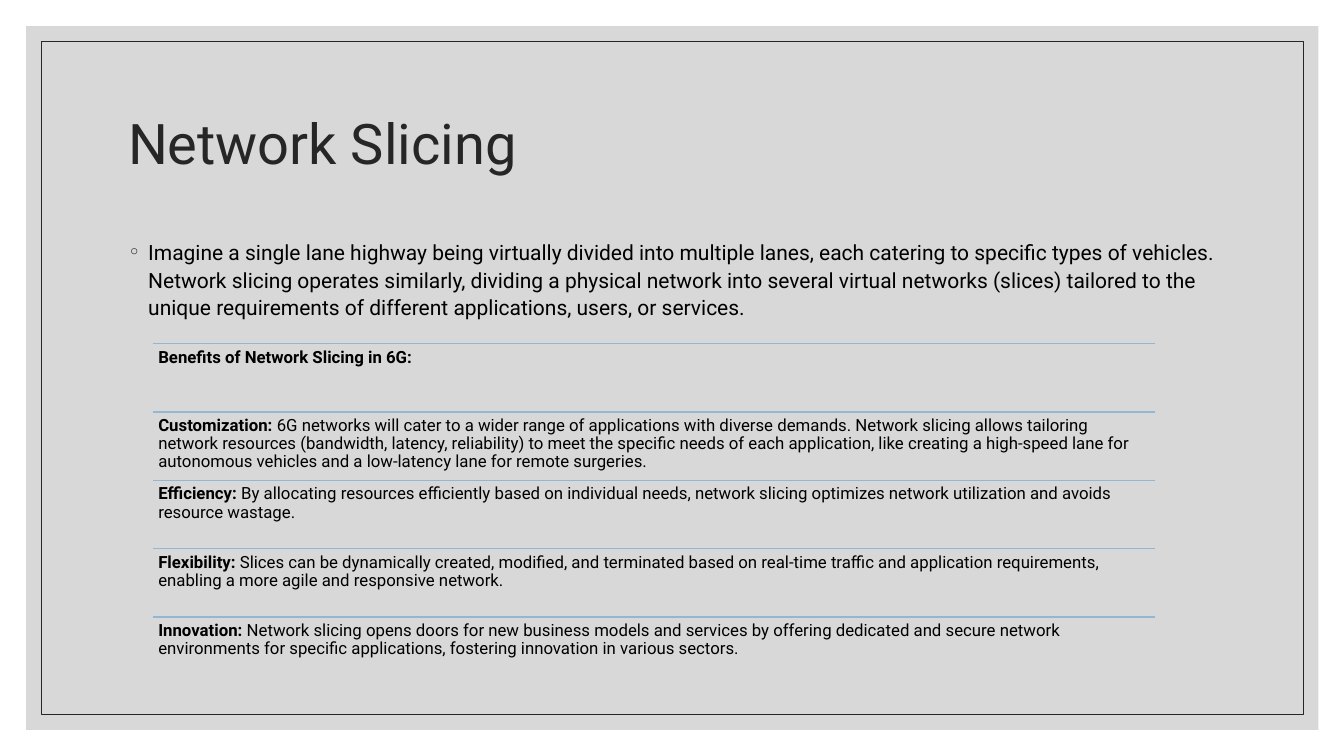
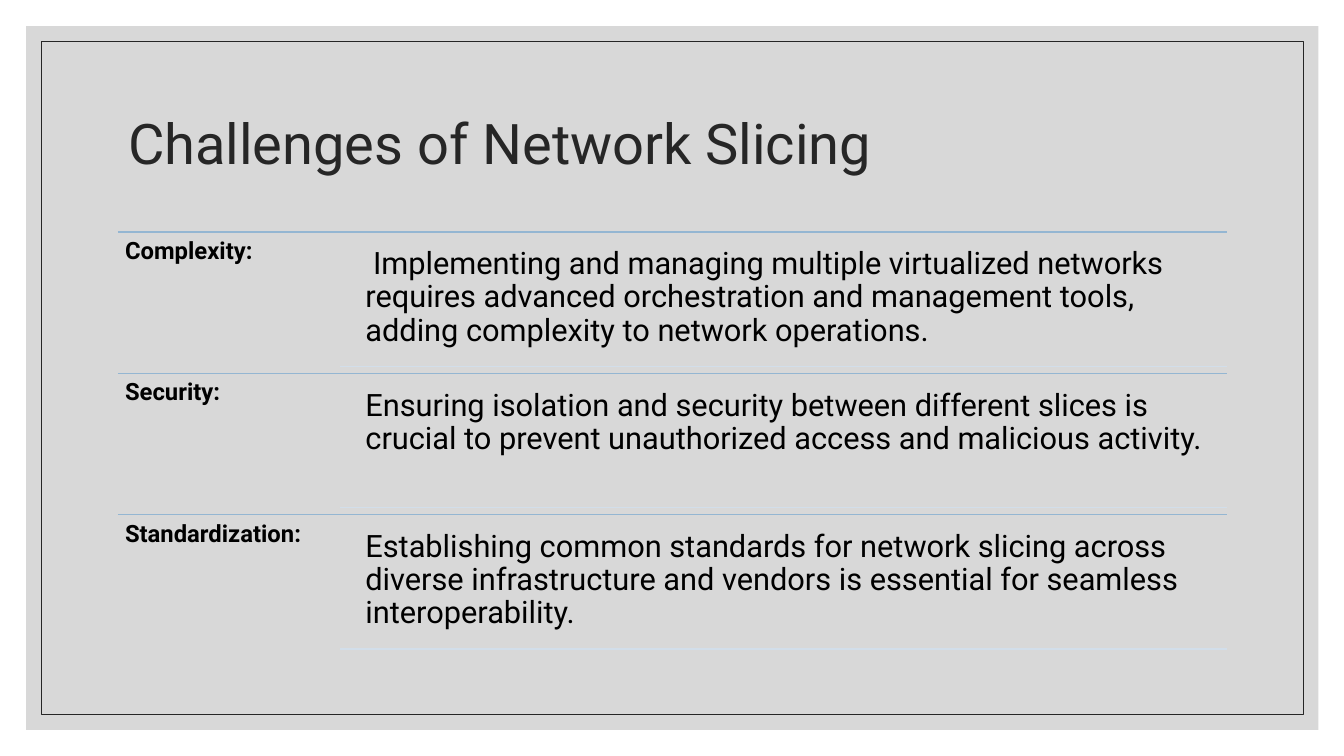
import pptx
import pptx.util
import pptx.dml.color
import pptx.enum.shapes
import pptx.enum.text
import pptx.oxml.ns
from lxml import etree

COLORS = {"panel": "BFBFBF", "ink": "262626", "text": "000000",
          "rule": "94B6D2", "pale_rule": "D2DEEA"}
FONT = "Roboto"
W, H = pptx.util.Inches(13.333), pptx.util.Inches(7.5)


def share(left, top, width, height):
    """Turn percentages of the slide into a box of lengths."""
    return (int(W * left / 100), int(H * top / 100),
            int(W * width / 100), int(H * height / 100))


PANEL = share(1.95, 3.47, 96.15, 93.07)
BORDER = share(3.08, 5.47, 93.9, 89.07)
TITLE = share(8.78, 9.33, 82.5, 20)
CONTENT = share(8.78, 30.67, 82.5, 56.13)
BENEFITS = share(11.4, 45.47, 74.55, 45.2)


def rgb(name):
    return pptx.dml.color.RGBColor.from_string(COLORS[name])


def sub(parent, tag, **attrs):
    return etree.SubElement(parent, pptx.oxml.ns.qn(tag), attrs)


def place(sp, box):
    sp.left, sp.top, sp.width, sp.height = box


def add_text(p, text, size, bold=False, color="text", spacing=0.9, before=0, after=0):
    p.alignment = pptx.enum.text.PP_ALIGN.LEFT
    p.line_spacing = spacing
    p.space_before = pptx.util.Pt(before)
    p.space_after = pptx.util.Pt(after)
    r = p.add_run()
    r.text = text
    r.font.name = FONT
    r.font.size = pptx.util.Pt(size)
    r.font.bold = bold
    r.font.color.rgb = rgb(color)


def add_box(shapes, box, runs, size, inset):
    """Text box with one paragraph made of (text, bold) runs."""
    tf = shapes.add_textbox(*box).text_frame
    tf.word_wrap = True
    tf.auto_size = pptx.enum.text.MSO_AUTO_SIZE.NONE
    tf.margin_left = tf.margin_right = pptx.util.Inches(inset)
    tf.margin_top = tf.margin_bottom = pptx.util.Inches(inset)
    for text, bold in runs:
        add_text(tf.paragraphs[0], text, size, bold=bold, after=0.35 * size)


def add_rule(shapes, left, right, y, color="rule"):
    line = shapes.add_connector(pptx.enum.shapes.MSO_CONNECTOR.STRAIGHT, left, y, right, y)
    line.line.color.rgb = rgb(color)
    line.line.width = pptx.util.Pt(1)
    sub(line.element.spPr, "a:effectLst")


def add_frame(s, layout):
    """Draw the panel and its border, then move them to the back of the layout."""
    rect = pptx.enum.shapes.MSO_SHAPE.RECTANGLE
    panel = s.shapes.add_shape(rect, *PANEL)
    panel.fill.solid()
    panel.fill.fore_color.rgb = rgb("panel")
    color = panel.element.spPr.find(".//" + pptx.oxml.ns.qn("a:srgbClr"))
    sub(color, "a:alpha", val="60000")
    panel.line.fill.background()
    border = s.shapes.add_shape(rect, *BORDER)
    border.fill.background()
    border.line.color.rgb = rgb("ink")
    border.line.width = pptx.util.Pt(0.5)
    for i, sp in enumerate((panel, border)):
        sp.shadow.inherit = False
        layout.shapes.element.insert(2 + i, sp.element)


def add_title(s, text):
    sp = s.shapes.title
    place(sp, TITLE)
    tf = sp.text_frame
    tf.vertical_anchor = pptx.enum.text.MSO_ANCHOR.MIDDLE
    tf.auto_size = pptx.enum.text.MSO_AUTO_SIZE.NONE
    add_text(tf.paragraphs[0], text, 40, color="ink")


def add_body(s, text):
    sp = s.placeholders[1]
    place(sp, CONTENT)
    tf = sp.text_frame
    tf.auto_size = pptx.enum.text.MSO_AUTO_SIZE.NONE
    p = tf.paragraphs[0]
    add_text(p, text, 15, spacing=1.1, before=9)
    # Hanging bullet
    pPr = p._p.get_or_add_pPr()
    indent = pptx.util.Inches(0.2)
    pPr.set("marL", str(indent))
    pPr.set("indent", str(-indent))
    sub(sub(pPr, "a:buClr"), "a:srgbClr", val=COLORS["ink"])
    sub(pPr, "a:buFont", typeface=FONT)
    sub(pPr, "a:buChar", char="◦")


def add_benefits(s, box, rows):
    """Ruled rows of equal height, each with a bold lead."""
    left, top, width, height = box
    row = height // len(rows)
    shapes = s.shapes.add_group_shape().shapes
    for i, (lead, text) in enumerate(rows):
        y = top + i * row
        add_rule(shapes, left, left + width, y)
        runs = [(lead, True)] + ([(" " + text, False)] if text else [])
        add_box(shapes, (left, y, width, row), runs, 12, 0.05)


def add_challenges(s, box, rows):
    """Ruled rows with a label column and a wide text column."""
    left, top, width, height = box
    row = height // len(rows)
    label = int(width * 0.2)
    indent = int(width * 0.215)
    right = left + width
    shapes = s.shapes.add_group_shape().shapes
    for i, (name, text) in enumerate(rows):
        y = top + i * row
        add_rule(shapes, left, right, y)
        add_box(shapes, (left, y, label, row), [(name, True)], 17, 0.07)
        add_box(shapes, (left + indent, y + int(row * 0.05), width - indent, int(row * 0.9)),
                [(text, False)], 22, 0.09)
        add_rule(shapes, left + label, right, y + int(row * 0.95), "pale_rule")


def main():
    prs = pptx.Presentation()
    prs.slide_width, prs.slide_height = W, H
    layout = prs.slide_layouts[1]

    # Benefits slide
    s = prs.slides.add_slide(layout)
    add_frame(s, layout)
    add_title(s, "Network Slicing")
    add_body(s, "Imagine a single lane highway being virtually divided into multiple lanes, "
                "each catering to specific types of vehicles. Network slicing operates similarly, "
                "dividing a physical network into several virtual networks (slices) tailored to "
                "the unique requirements of different applications, users, or services.")
    add_benefits(s, BENEFITS, [
        ("Benefits of Network Slicing in 6G:", ""),
        ("Customization:",
         "6G networks will cater to a wider range of applications with diverse demands. "
         "Network slicing allows tailoring network resources (bandwidth, latency, reliability) "
         "to meet the specific needs of each application, like creating a high-speed lane for "
         "autonomous vehicles and a low-latency lane for remote surgeries."),
        ("Efficiency:",
         "By allocating resources efficiently based on individual needs, network slicing "
         "optimizes network utilization and avoids resource wastage."),
        ("Flexibility:",
         "Slices can be dynamically created, modified, and terminated based on real-time "
         "traffic and application requirements, enabling a more agile and responsive network."),
        ("Innovation:",
         "Network slicing opens doors for new business models and services by offering "
         "dedicated and secure network environments for specific applications, fostering "
         "innovation in various sectors."),
    ])

    # Challenges slide
    s = prs.slides.add_slide(layout)
    add_title(s, "Challenges of Network Slicing")
    body = s.placeholders[1].element
    body.getparent().remove(body)
    add_challenges(s, CONTENT, [
        ("Complexity:",
         " Implementing and managing multiple virtualized networks requires advanced "
         "orchestration and management tools, adding complexity to network operations."),
        ("Security:",
         "Ensuring isolation and security between different slices is crucial to prevent "
         "unauthorized access and malicious activity."),
        ("Standardization:",
         "Establishing common standards for network slicing across diverse infrastructure "
         "and vendors is essential for seamless interoperability."),
    ])
    prs.save("out.pptx")


if __name__ == "__main__":
    main()
